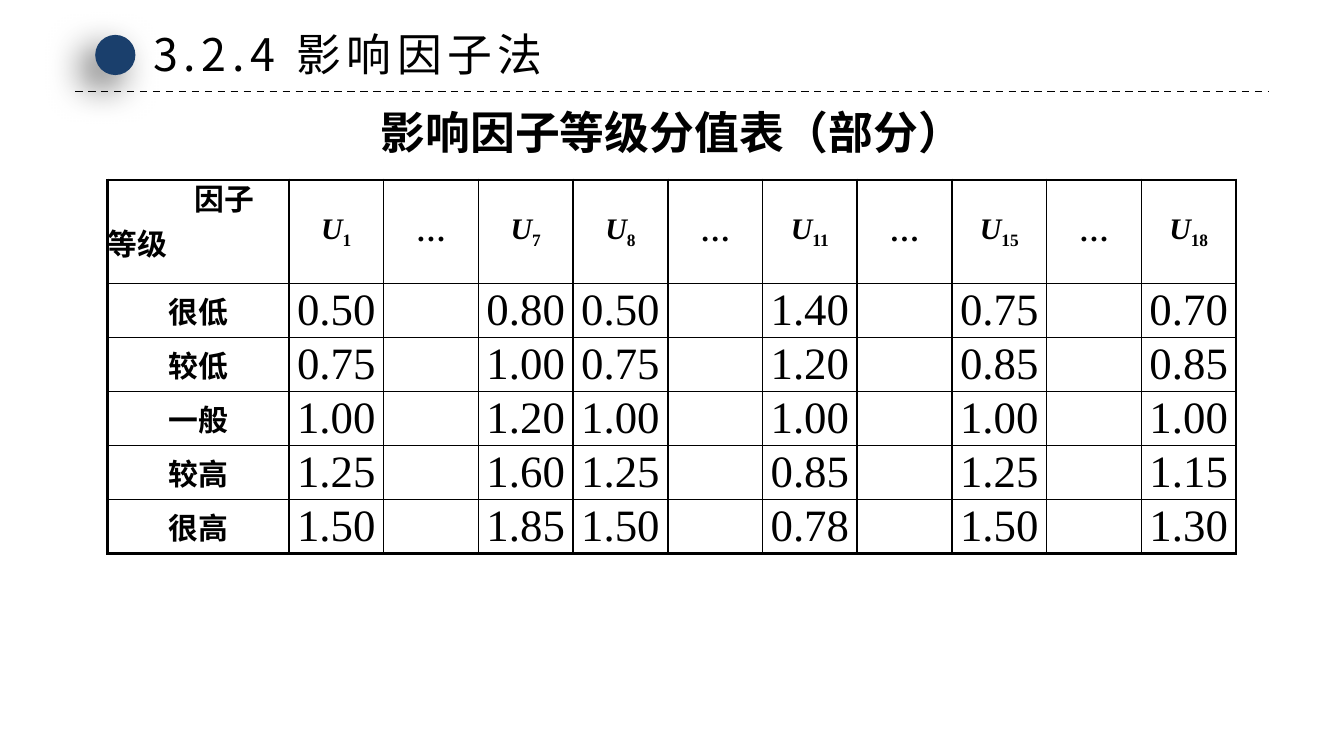
from lxml.etree import SubElement
from pptx import Presentation
from pptx.dml.color import RGBColor
from pptx.enum.dml import MSO_LINE
from pptx.enum.shapes import MSO_CONNECTOR, MSO_SHAPE
from pptx.enum.text import MSO_ANCHOR as ANCHOR, PP_ALIGN as ALIGN
from pptx.oxml.ns import qn
from pptx.util import Cm, Pt

BLACK = RGBColor(0x00, 0x00, 0x00)
NAVY = RGBColor(0x1A, 0x3F, 0x6C)
SANS, SERIF = "Noto Sans CJK SC", "Times New Roman"

TITLE = "3.2.4 影响因子法"
CAPTION = "影响因子等级分值表（部分）"
CORNER = ("因子", "等级")
FACTORS = ["1", "…", "7", "8", "…", "11", "…", "15", "…", "18"]
LEVELS = [
    ("很低", ["0.50", "0.80", "0.50", "1.40", "0.75", "0.70"]),
    ("较低", ["0.75", "1.00", "0.75", "1.20", "0.85", "0.85"]),
    ("一般", ["1.00", "1.20", "1.00", "1.00", "1.00", "1.00"]),
    ("较高", ["1.25", "1.60", "1.25", "0.85", "1.25", "1.15"]),
    ("很高", ["1.50", "1.85", "1.50", "0.78", "1.50", "1.30"]),
]
LABEL = {"size": Pt(16), "name": SERIF, "bold": True}
SYMBOL = {**LABEL, "italic": True}
NUMBER = {"size": Pt(24), "name": SERIF, "bold": False}
HEADING = {"size": Pt(24), "name": SANS, "bold": False}
NO_INSETS = {"margin_left": 0, "margin_right": 0, "margin_top": 0, "margin_bottom": 0}


def set_all(obj, values):
    for name, value in values.items():
        setattr(obj, name, value)


def add_run(p, text, style):
    r = p.add_run()
    r.text = text
    set_all(r.font, style)
    r.font.color.rgb = BLACK
    SubElement(r.font._element, qn("a:ea"), typeface=SANS)
    return r


def set_borders(cell, widths):
    tc_pr = cell._tc.get_or_add_tcPr()
    for side, width in widths.items():
        ln = SubElement(tc_pr, qn(f"a:ln{side}"), w=str(Pt(width)))
        fill = SubElement(ln, qn("a:solidFill"))
        SubElement(fill, qn("a:srgbClr"), val=str(BLACK))


def fill_header(cell, factor):
    p = cell.text_frame.paragraphs[0]
    p.alignment = ALIGN.CENTER
    if factor == "…":
        add_run(p, factor, LABEL)
    else:
        add_run(p, "U", SYMBOL)
        r = add_run(p, factor, LABEL)
        r.font._element.set("baseline", "-25000")


def fill_cell(cell, text, style):
    p = cell.text_frame.paragraphs[0]
    p.alignment = ALIGN.CENTER
    add_run(p, text, style)


prs = Presentation()
prs.slide_width, prs.slide_height = Cm(25.4), Cm(14.29)
s = prs.slides.add_slide(prs.slide_layouts[5])

rule = s.shapes.add_connector(MSO_CONNECTOR.STRAIGHT, Cm(1.42), Cm(1.73), Cm(23.98), Cm(1.73))
set_all(rule.line, {"width": Pt(1), "dash_style": MSO_LINE.DASH})
rule.line.color.rgb = BLACK
SubElement(rule._element.spPr, qn("a:effectLst"))

dot = s.shapes.add_shape(MSO_SHAPE.OVAL, Cm(1.8), Cm(0.66), Cm(0.76), Cm(0.76))
dot.fill.solid()
dot.fill.fore_color.rgb = NAVY
dot.line.fill.background()
dot.shadow.inherit = False
shadow = SubElement(dot._element.spPr.find(qn("a:effectLst")), qn("a:outerShdw"),
                    blurRad=str(Pt(20)), dist=str(Pt(10)), dir="8100000",
                    algn="ctr", rotWithShape="0")
shade = SubElement(shadow, qn("a:srgbClr"), val=str(BLACK))
SubElement(shade, qn("a:alpha"), val="60000")

title = s.shapes.title
set_all(title, {"left": Cm(2.64), "top": Cm(0.38), "width": Cm(8.13), "height": Cm(1.27)})
set_all(title.text_frame, {"word_wrap": False, "vertical_anchor": ANCHOR.TOP})
p = title.text_frame.paragraphs[0]
p.alignment = ALIGN.LEFT
add_run(p, TITLE, HEADING).font._element.set("spc", "300")

n_rows, n_cols = len(LEVELS) + 1, len(FACTORS) + 1
frame = s.shapes.add_table(n_rows, n_cols, Cm(2.03), Cm(3.4), Cm(21.36), Cm(7.04))
table = frame.table
set_all(table, {"first_row": False, "horz_banding": False})
for i, col in enumerate(table.columns):
    col.width = Cm(1.79 if i else 3.43)
for i, row in enumerate(table.rows):
    row.height = Cm(1.02 if i else 1.96)

for r in range(n_rows):
    for c in range(n_cols):
        cell = table.cell(r, c)
        set_all(cell, {**NO_INSETS, "vertical_anchor": ANCHOR.MIDDLE})
        edges = {"L": c == 0, "R": c == n_cols - 1, "T": r == 0, "B": r == n_rows - 1}
        set_borders(cell, {side: 1.5 if outer else 1 for side, outer in edges.items()})
        cell.fill.background()

corner = table.cell(0, 0)
corner.vertical_anchor = ANCHOR.TOP
tf = corner.text_frame
factor_p, level_p = tf.paragraphs[0], tf.add_paragraph()
factor_p._p.get_or_add_pPr().set("marL", str(Cm(1.65)))
level_p.space_before = Pt(3.2)
for p, text in zip((factor_p, level_p), CORNER):
    p.line_spacing = 0.9
    add_run(p, text, LABEL)

for c, factor in enumerate(FACTORS, 1):
    fill_header(table.cell(0, c), factor)
value_cols = [c for c, factor in enumerate(FACTORS, 1) if factor != "…"]
for r, (level, values) in enumerate(LEVELS, 1):
    fill_cell(table.cell(r, 0), level, LABEL)
    for c, value in zip(value_cols, values):
        fill_cell(table.cell(r, c), value, NUMBER)

caption = s.shapes.add_textbox(Cm(7.11), Cm(1.98), Cm(11.18), Cm(1.02))
tf = caption.text_frame
set_all(tf, {**NO_INSETS, "word_wrap": False, "vertical_anchor": ANCHOR.MIDDLE})
p = tf.paragraphs[0]
p.alignment = ALIGN.CENTER
add_run(p, CAPTION, {**HEADING, "bold": True})

prs.save("out.pptx")
